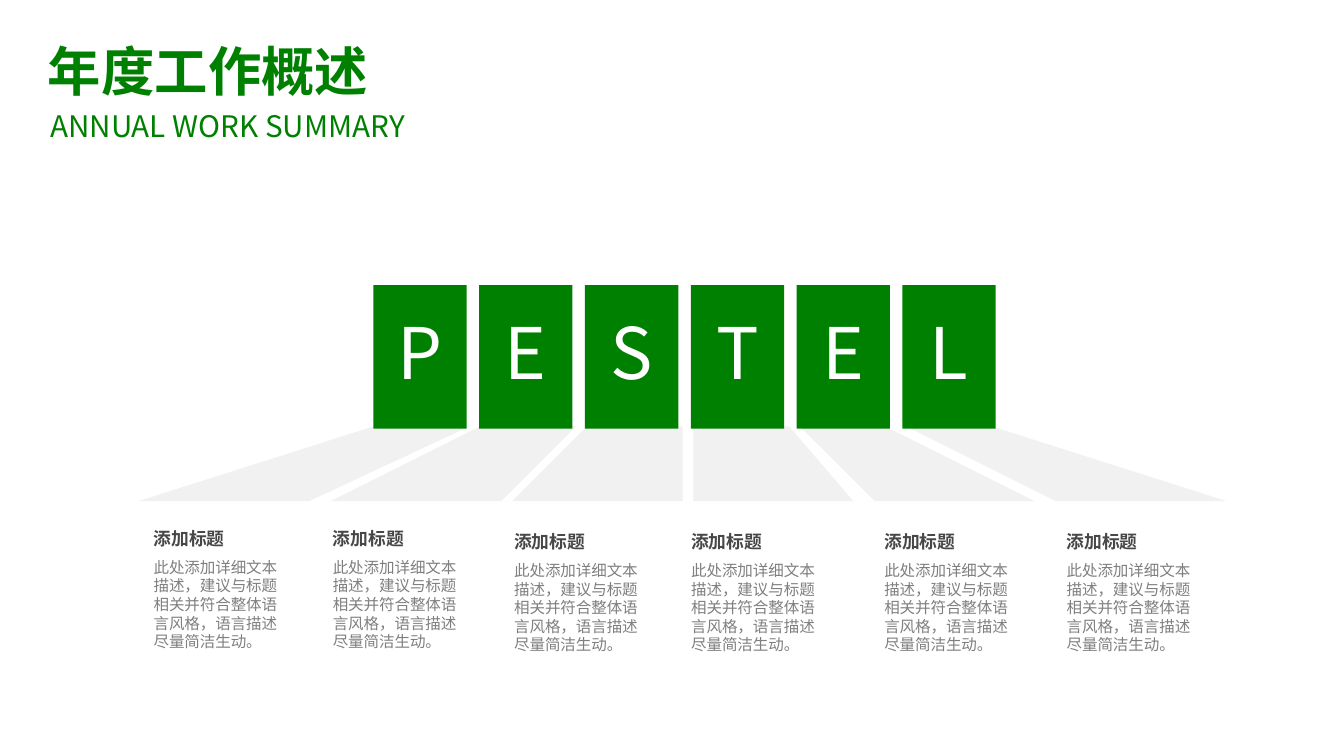
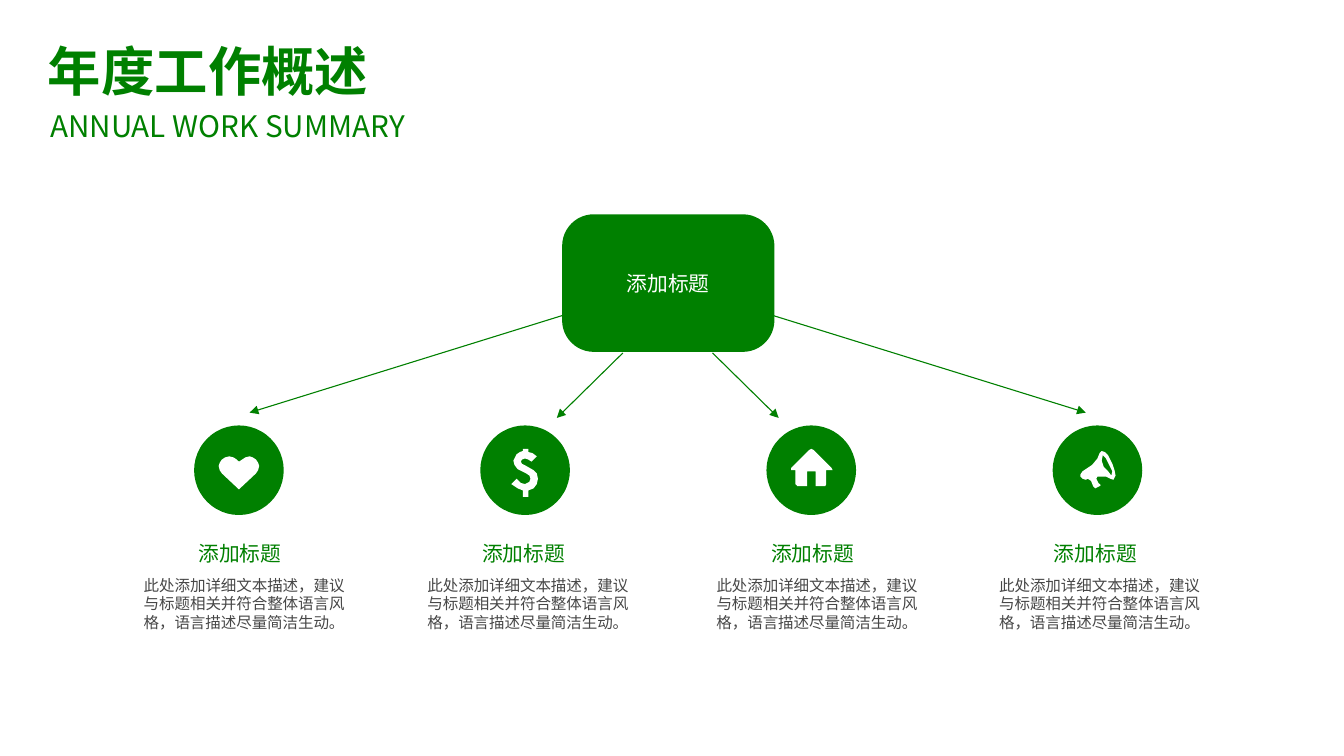
from lxml import etree
from pptx import Presentation
from pptx.dml.color import RGBColor
from pptx.enum.shapes import MSO_CONNECTOR as CONNECTOR, MSO_SHAPE as SHAPE
from pptx.enum.text import MSO_ANCHOR as ANCHOR, MSO_AUTO_SIZE as AUTO_SIZE, PP_ALIGN as ALIGN
from pptx.oxml.ns import qn
from pptx.util import Inches, Pt

FONT = "Noto Sans CJK SC"
COLORS = {
    "green": "008000",
    "white": "FFFFFF",
    "beam": "F1F1F1",
    "dark": "474747",
    "gray": "7F7F7F",
}
HEADING = "添加标题"
DETAIL = "此处添加详细文本描述，建议与标题相关并符合整体语言风格，语言描述尽量简洁生动。"

prs = Presentation()
prs.slide_width, prs.slide_height = Inches(12.6), Inches(7.09)
cell = prs.slide_width // 126


def paint(shape, color):
    shape.shadow.inherit = False
    shape.fill.solid()
    shape.fill.fore_color.rgb = RGBColor.from_string(COLORS[color])
    shape.line.fill.background()


def write(shape, box, text, size, color, bold=False, align=ALIGN.LEFT,
          anchor=ANCHOR.TOP, spacing=1.0, inset=(0, 0)):
    shape.left, shape.top, shape.width, shape.height = [round(v * cell) for v in box]
    frame = shape.text_frame
    frame.text = text
    frame.word_wrap = True
    frame.auto_size = AUTO_SIZE.NONE
    frame.vertical_anchor = anchor
    frame.margin_left = frame.margin_right = Inches(inset[0])
    frame.margin_top = frame.margin_bottom = Inches(inset[1])
    paragraph = frame.paragraphs[0]
    paragraph.alignment = align
    paragraph.line_spacing = spacing
    font = paragraph.runs[0].font
    font.name, font.size, font.bold = FONT, Pt(size), bold
    font.color.rgb = RGBColor.from_string(COLORS[color])
    east_asian = etree.SubElement(font._element, qn("a:ea"))
    east_asian.set("typeface", FONT)


slides = []
for _ in range(2):
    slide = prs.slides.add_slide(prs.slide_layouts[5])
    write(slide.shapes.title, (3.4, 3, 39.9, 7.2), "年度工作概述", 36, "green",
          bold=True, inset=(0.11, 0.06))
    write(slide.shapes.add_textbox(0, 0, 0, 0), (4.7, 10.1, 39.4, 3.4),
          "ANNUAL WORK SUMMARY", 20, "green")
    slides.append(slide)
pestel, tree = [slide.shapes for slide in slides]

tile_left, tile_top, tile_pitch, tile_width, tile_height = 35, 26.75, 9.92, 8.75, 13.45
beam_top, beam_bottom, beam_width = 40.2, 47.1, 15.6
beam_lefts = (13.4, 31.2, 48, 64.7, 81.5, 99.4)
caption_lefts = (14.4, 31.2, 48.2, 64.8, 82.9, 100)

for i, (letter, beam_left, caption_left) in enumerate(zip("PESTEL", beam_lefts, caption_lefts)):
    left = tile_left + i * tile_pitch
    builder = pestel.build_freeform(left, beam_top, scale=cell)
    builder.add_line_segments([
        (left + tile_width, beam_top),
        (beam_left + beam_width, beam_bottom),
        (beam_left, beam_bottom),
    ])
    paint(builder.convert_to_shape(), "beam")

    tile = pestel.add_shape(SHAPE.RECTANGLE, 0, 0, 0, 0)
    paint(tile, "green")
    write(tile, (left, tile_top, tile_width, tile_height), letter, 48, "white",
          align=ALIGN.CENTER, anchor=ANCHOR.MIDDLE, spacing=0.9, inset=(0, 0.05))

    caption_top = 49.5 if i < 2 else 49.8
    write(pestel.add_textbox(0, 0, 0, 0), (caption_left, caption_top, 12.9, 2),
          HEADING, 12, "dark", bold=True)
    write(pestel.add_textbox(0, 0, 0, 0), (caption_left, caption_top + 2.8, 12.9, 8.8),
          DETAIL, 10.5, "gray")

root = tree.add_shape(SHAPE.ROUNDED_RECTANGLE, 0, 0, 0, 0)
root.adjustments[0] = 0.23
paint(root, "green")
write(root, (52.7, 20.1, 19.9, 12.9), HEADING, 14, "white",
      align=ALIGN.CENTER, anchor=ANCHOR.MIDDLE)

axis = 62.6
for side in (-1, 1):
    for start_x, start_y, end_x, end_y in ((9.9, 29.6, 39.2, 38.7), (4.2, 33.1, 10.4, 39.2)):
        points = (axis + side * start_x, start_y, axis + side * end_x, end_y)
        arrow = tree.add_connector(CONNECTOR.STRAIGHT, *[round(v * cell) for v in points])
        arrow.line.color.rgb = RGBColor.from_string(COLORS["green"])
        arrow.line.width = Pt(0.75)
        etree.SubElement(arrow.line._get_or_add_ln(), qn("a:tailEnd")).set("type", "triangle")
        etree.SubElement(arrow._element.spPr, qn("a:effectLst"))

heart = [[
    (58, 32), (55, 29.8), (51.5, 29), (48, 29.8), (45, 32), (42, 34), (40, 32),
    (37, 29.8), (33, 29), (29, 29.8), (26, 32), (23.8, 35), (23.2, 38.5), (24, 42.5),
    (26, 45), (42, 60), (58, 45), (60, 42.5), (61, 38.5), (60.3, 35),
]]
dollar = [[
    (53, 29), (48, 34), (45, 31.5), (42, 31), (39, 31.5), (38, 34), (39, 36), (43, 38),
    (50, 42), (53, 45), (54, 50), (53, 55), (50, 59), (45, 61), (45, 67), (40, 67),
    (40, 61), (35, 59), (29, 55), (34, 50), (38, 54), (42, 55), (46, 53), (47, 50),
    (46, 47), (43, 45), (35, 41), (32, 37), (31, 33), (34, 27), (37, 25), (40, 24),
    (40, 22), (45, 22), (45, 25), (49, 26),
]]
house = [[
    (61, 40), (44, 23), (42, 22.3), (40, 23), (23, 40), (23, 41.5), (24, 42), (27, 42),
    (27, 55), (27.6, 56.4), (29, 57), (38, 57), (38, 43), (46, 43), (46, 57), (55, 57),
    (56, 55), (56, 42), (60, 42), (61.5, 41.5),
]]
megaphone = [
    [
        (56, 36), (52, 28.5), (49, 25), (46, 24), (44, 26), (42.5, 31), (37, 37), (28, 43),
        (26, 45.5), (26, 48), (28, 50.5), (31, 51), (33, 50), (36, 52), (38, 57), (40, 59),
        (44, 57), (45, 56), (43, 54), (41, 50), (41.5, 48.5), (43, 48), (50, 48.5),
        (54, 50.5), (57, 51), (59, 47), (58.5, 42),
    ],
    [
        (55, 47), (51.5, 43), (48, 39), (46.5, 33), (47, 28), (50.5, 31), (53, 37),
        (55.5, 43),
    ],
]

circle_left, circle_top, circle_pitch, circle_size = 18.2, 39.9, 26.83, 8.4
branch_lefts = (13.4, 40, 67.1, 93.6)

for i, (icon, branch_left) in enumerate(zip((heart, dollar, house, megaphone), branch_lefts)):
    left = round((circle_left + i * circle_pitch) * cell)
    top, size = round(circle_top * cell), round(circle_size * cell)
    paint(tree.add_shape(SHAPE.OVAL, left, top, size, size), "green")

    builder = tree.build_freeform(*icon[0][0], scale=cell / 10)
    for contour in icon:
        builder.move_to(*contour[0])
        builder.add_line_segments(contour[1:])
    paint(builder.convert_to_shape(left, top), "white")

    write(tree.add_textbox(0, 0, 0, 0), (branch_left - 0.4, 50.4, 19, 3.2), HEADING, 14,
          "green", align=ALIGN.CENTER, anchor=ANCHOR.MIDDLE, spacing=0.9, inset=(0, 0.05))
    write(tree.add_textbox(0, 0, 0, 0), (branch_left, 54, 19, 5.3), DETAIL, 10.5,
          "dark", align=ALIGN.CENTER)

prs.save("out.pptx")
